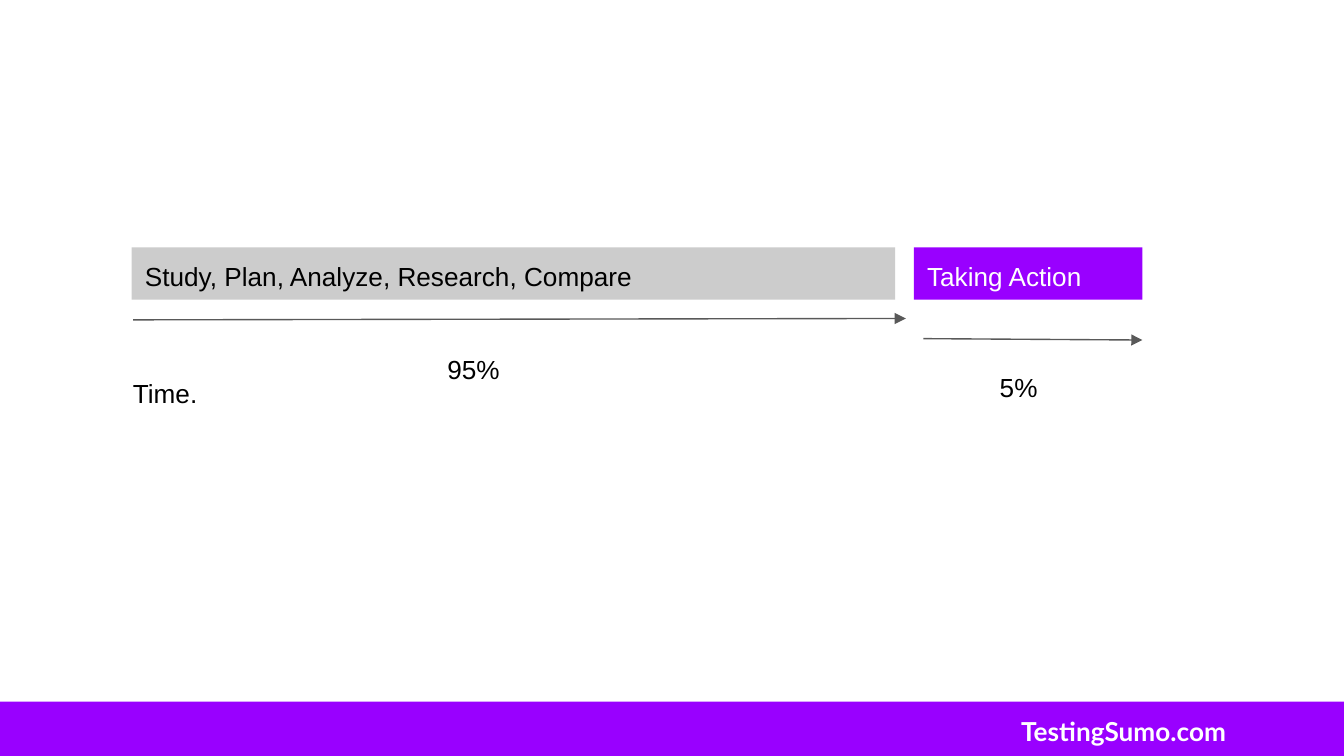
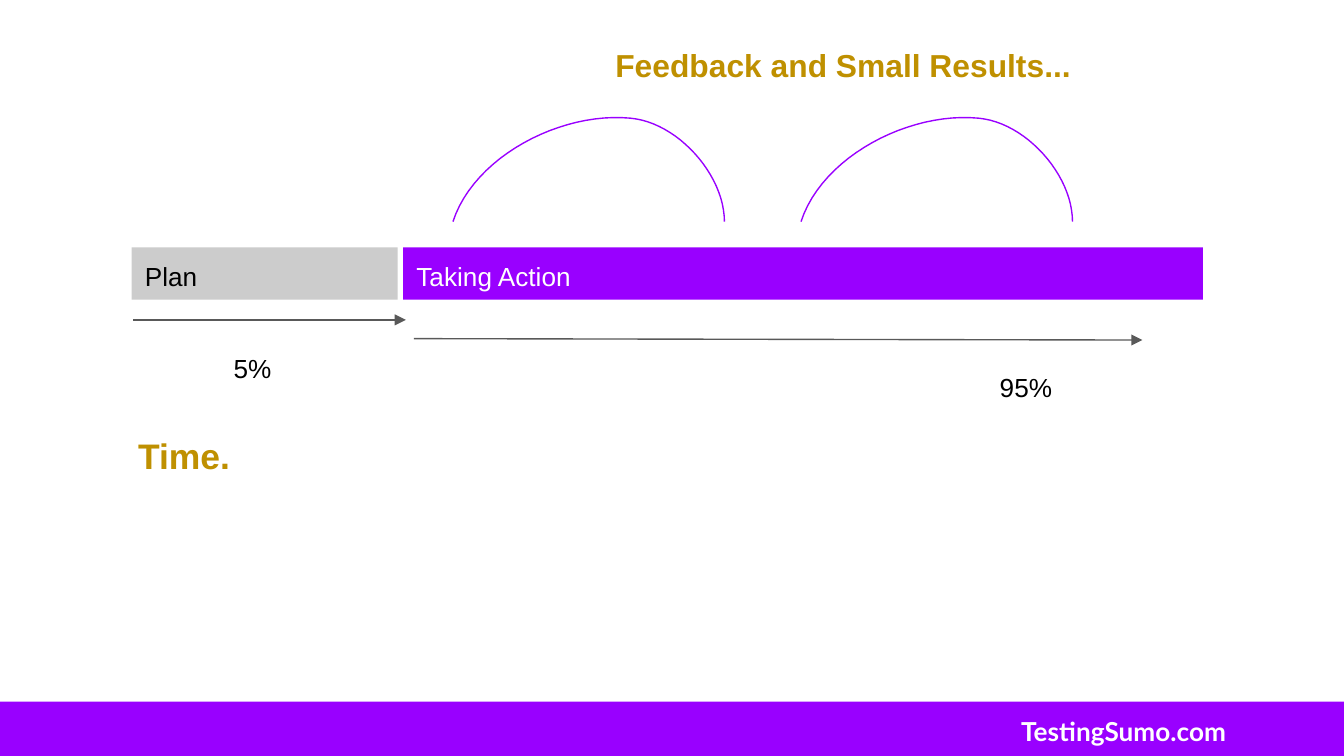
from lxml import etree
from pptx import Presentation
from pptx.dml.color import RGBColor
from pptx.enum.shapes import MSO_CONNECTOR, MSO_SHAPE
from pptx.enum.text import MSO_ANCHOR, PP_ALIGN
from pptx.oxml.ns import qn
from pptx.util import Emu, Pt

RECT = MSO_SHAPE.RECTANGLE
STRAIGHT = MSO_CONNECTOR.STRAIGHT
TOP = MSO_ANCHOR.TOP
LEFT = PP_ALIGN.LEFT

PX = 9144
WIDTH = 1000
INSET = 10
BAR_TOP, BAR_HEIGHT = 184, 39
CURVE_STEPS = 24

PURPLE = "9900FF"
GREY = "CCCCCC"
LINE_GREY = "595959"
GOLD = "BF9000"
BLACK = "000000"
WHITE = "FFFFFF"

ARC = [(0, 78), (16, 29), (81, -4), (132, 1), (167, 4), (202, 43), (202, 78)]


def px(n):
    return Emu(round(n * PX))


def rgb(color):
    return RGBColor.from_string(color)


def write(s, text, color, size=14, bold=False, font="Arial"):
    tf = s.text_frame
    tf.word_wrap = True
    tf.vertical_anchor = TOP
    tf.margin_left = tf.margin_right = px(INSET)
    tf.margin_top = tf.margin_bottom = px(INSET)
    tf.text = text
    p = tf.paragraphs[0]
    p.alignment = LEFT
    r = p.runs[0]
    r.font.name = font
    r.font.size = Pt(size)
    r.font.bold = bold
    r.font.color.rgb = rgb(color)


def add_label(sp, x, y, w, h, text, color=BLACK, **style):
    s = sp.add_textbox(px(x), px(y), px(w), px(h))
    write(s, text, color, **style)


def add_block(sp, x, y, w, h, fill):
    s = sp.add_shape(RECT, px(x), px(y), px(w), px(h))
    s.shadow.inherit = False
    s.fill.solid()
    s.fill.fore_color.rgb = rgb(fill)
    s.line.fill.background()
    return s


def add_phase(sp, x, w, text, fill, color):
    write(add_block(sp, x, BAR_TOP, w, BAR_HEIGHT, fill), text, color)


def add_arrow(sp, x1, y1, x2, y2):
    s = sp.add_connector(STRAIGHT, px(x1), px(y1), px(x2), px(y2))
    s.line.color.rgb = rgb(LINE_GREY)
    s.line.width = Pt(0.75)
    etree.SubElement(s.line._get_or_add_ln(), qn("a:tailEnd"), type="triangle")
    etree.SubElement(s._element.spPr, qn("a:effectLst"))


def bezier(a, b, c, d, t):
    u = 1 - t
    weights = (u ** 3, 3 * u * u * t, 3 * u * t * t, t ** 3)
    return tuple(sum(k * p[i] for k, p in zip(weights, (a, b, c, d)))
                 for i in (0, 1))


def add_arc(sp, x, y):
    points = [bezier(*ARC[start:start + 4], step / CURVE_STEPS)
              for start in (0, 3) for step in range(1, CURVE_STEPS + 1)]
    emu = [(px(x + dx), px(y + dy)) for dx, dy in [ARC[0]] + points]
    builder = sp.build_freeform(*emu[0], scale=1.0)
    builder.add_line_segments(emu[1:], close=False)
    s = builder.convert_to_shape()
    s.shadow.inherit = False
    s.fill.background()
    s.line.color.rgb = rgb(PURPLE)
    s.line.width = Pt(0.75)


def add_slide(prs):
    sp = prs.slides.add_slide(prs.slide_layouts[6]).shapes
    add_block(sp, -1, 522, 1001, 47, PURPLE)
    add_label(sp, 750, 522, 563, 66, "TestingSumo.com", WHITE,
              bold=True, font="Lato")
    return sp


def add_study_slide(prs):
    sp = add_slide(prs)
    add_arrow(sp, 99, 238, 674, 237)
    add_phase(sp, 98, 568, "Study, Plan, Analyze, Research, Compare", GREY, BLACK)
    add_phase(sp, 680, 170, "Taking Action", PURPLE, WHITE)
    add_arrow(sp, 687, 252, 850, 253)
    add_label(sp, 734, 266, 65, 31, "5%")
    add_label(sp, 323, 253, 65, 31, "95%")
    add_label(sp, 89, 271, 591, 69, "Time.")


def add_action_slide(prs):
    sp = add_slide(prs)
    add_arrow(sp, 99, 238, 302, 238)
    add_phase(sp, 98, 198, "Plan", GREY, BLACK)
    add_phase(sp, 300, 595, "Taking Action", PURPLE, WHITE)
    add_arrow(sp, 308, 252, 850, 253)
    add_label(sp, 734, 266, 65, 31, "95%")
    add_label(sp, 164, 252, 65, 31, "5%")
    add_label(sp, 93, 313, 591, 69, "Time.", GOLD, size=19, bold=True)
    for x in (337, 596):
        add_arc(sp, x, 87)
    add_label(sp, 448, 24, 591, 69, "Feedback and Small Results...", GOLD,
              size=17, bold=True)


def main():
    prs = Presentation()
    prs.slide_width = px(WIDTH)
    prs.slide_height = px(WIDTH * 9 / 16)
    add_study_slide(prs)
    add_action_slide(prs)
    prs.save("out.pptx")


if __name__ == "__main__":
    main()
